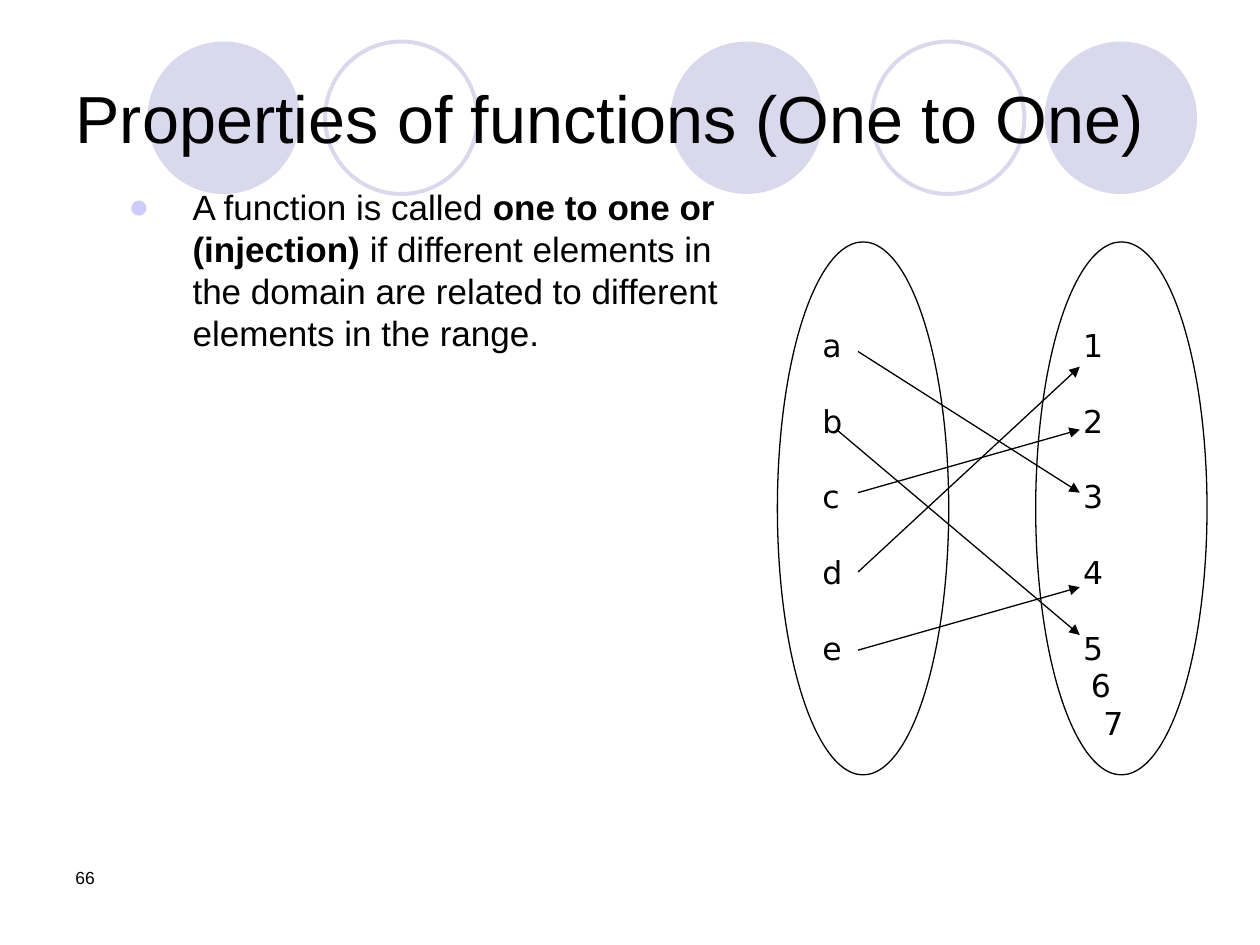
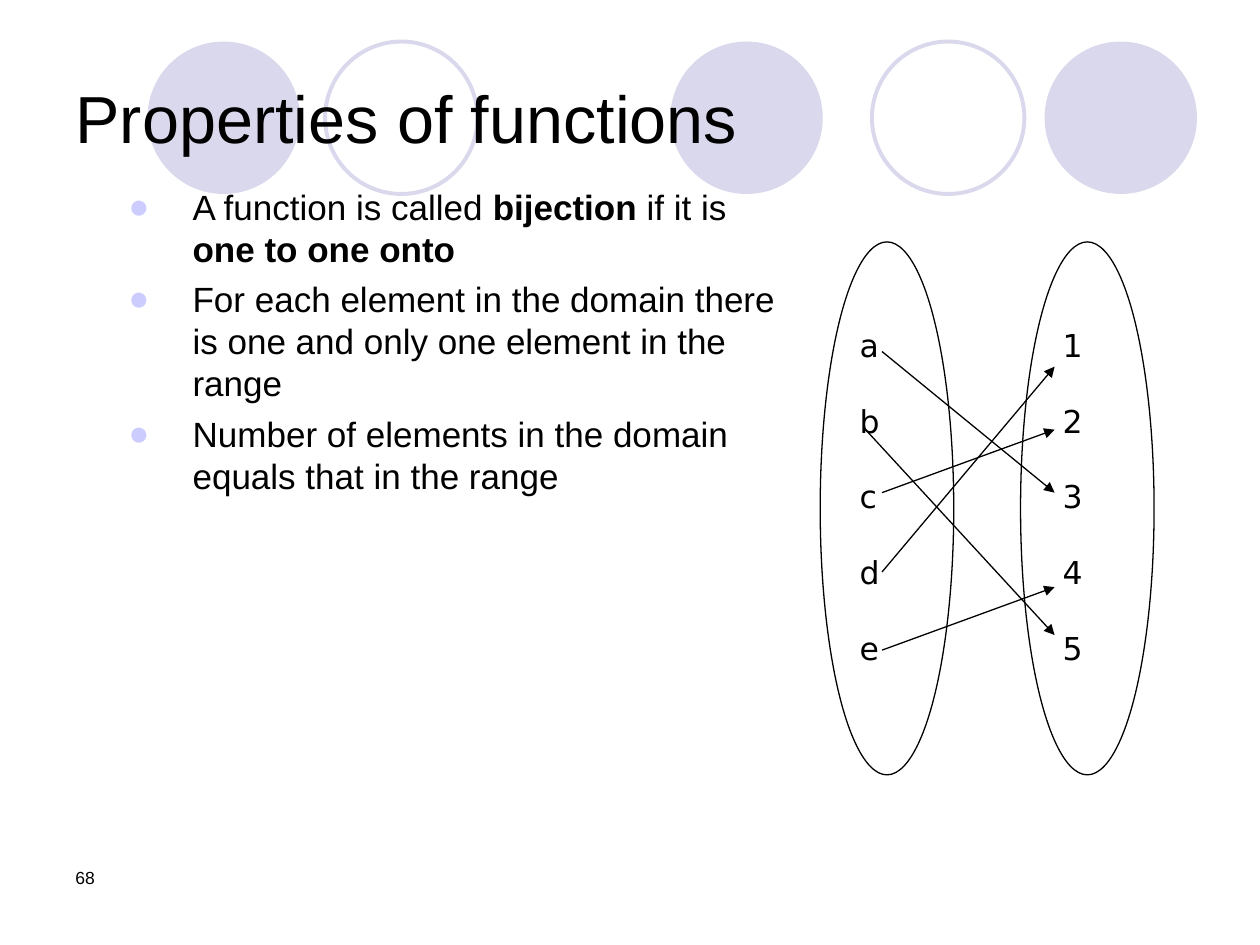
import pptx
import pptx.dml.color
import pptx.enum.shapes
import pptx.enum.text
import pptx.oxml.ns
import pptx.util
from lxml import etree

Inches = pptx.util.Inches
Pt = pptx.util.Pt
qn = pptx.oxml.ns.qn
OVAL = pptx.enum.shapes.MSO_SHAPE.OVAL
ANCHOR = pptx.enum.text.MSO_ANCHOR
LEFT = pptx.enum.text.PP_ALIGN.LEFT

COLORS = {"text": "000000", "paper": "FFFFFF", "circle": "D9D8EC", "bullet": "CCCCFF"}
TEXT_FONT, SET_FONT = "Arial", "DejaVu Sans"

# Header circles: left edge, filled or outlined
CIRCLES = [(5.32, True), (8.29, True), (1.17, True), (6.92, False), (2.58, False)]
CIRCLE_TOP, CIRCLE_SIZE = 0.33, 1.21

# Both diagrams: ellipse extent, line height, and arrow heights by domain element
SET_TOP, SET_HEIGHT = 1.92, 4.23
SET_LINE = 21.6
ARROW_HEIGHTS = {"a": (2.79, 3.91), "c": (3.91, 3.41), "d": (4.54, 2.91),
                 "b": (3.41, 5.04), "e": (5.16, 4.66)}

SLIDES = [
    {
        "title": "Properties of functions (One to One)",
        "number": "66",
        "body_width": 4.98,
        "body": [[("A function is called ", False),
                  ("one to one or (injection)", True),
                  (" if different elements in the domain are related to "
                   "different elements in the range.", False)]],
        "map": {"domain_x": 6.17, "range_x": 8.22, "width": 1.36,
                "start_x": 6.81, "b_start_x": 6.64, "end_x": 8.57,
                "extras": [("6", 0.14), ("7", 0.24)]},
    },
    {
        "title": "Properties of functions",
        "number": "68",
        "body_width": 5.39,
        "body": [[("A function is called ", False), ("bijection ", True),
                  ("if it is ", False), ("one to one onto", True)],
                 [("For each element in the domain there is one and only one "
                   "element in the range", False)],
                 [("Number of elements in the domain equals that in the range", False)]],
        "map": {"domain_x": 6.51, "range_x": 8.1, "width": 1.06,
                "start_x": 7, "b_start_x": 6.87, "end_x": 8.37, "extras": []},
    },
]


def rgb(name):
    return pptx.dml.color.RGBColor.from_string(COLORS[name])


def add_run(p, text, size, font=TEXT_FONT, bold=False):
    r = p.add_run()
    r.text = text
    r.font.size, r.font.name, r.font.bold = Pt(size), font, bold
    r.font.color.rgb = rgb("text")


def next_paragraph(tf, index):
    p = tf.add_paragraph() if index else tf.paragraphs[0]
    p.alignment = LEFT
    return p


def set_indent(p, left, first=0):
    pPr = p._p.get_or_add_pPr()
    pPr.set("marL", str(Inches(left)))
    pPr.set("indent", str(Inches(first)))
    return pPr


def add_oval(shapes, x, y, w, h, fill=None, line=None, weight=0.75):
    sp = shapes.add_shape(OVAL, Inches(x), Inches(y), Inches(w), Inches(h))
    sp.shadow.inherit = False
    if fill:
        sp.fill.solid()
        sp.fill.fore_color.rgb = rgb(fill)
    else:
        sp.fill.background()
    if line:
        sp.line.color.rgb = rgb(line)
        sp.line.width = Pt(weight)
    else:
        sp.line.fill.background()
    return sp


def add_header_circles(s, layout):
    """Draw the circles as one group and move it behind the layout's placeholders."""
    group = s.shapes.add_group_shape()
    for x, filled in CIRCLES:
        kind = {"fill": "circle"} if filled else {"line": "circle", "weight": 2.25}
        add_oval(group.shapes, x, CIRCLE_TOP, CIRCLE_SIZE, CIRCLE_SIZE, **kind)
    layout.shapes._spTree.insert(2, group._element)


def set_title(s, text):
    sp = s.shapes.title
    sp.left, sp.top, sp.width, sp.height = Inches(0.5), Inches(0.3), Inches(9), Inches(1.25)
    tf = sp.text_frame
    tf.auto_size = pptx.enum.text.MSO_AUTO_SIZE.NONE
    tf.vertical_anchor = ANCHOR.MIDDLE
    add_run(next_paragraph(tf, 0), text, 38)


def add_text_frame(s, x, y, w, h):
    tf = s.shapes.add_textbox(Inches(x), Inches(y), Inches(w), Inches(h)).text_frame
    tf.word_wrap = True
    return tf


def add_bullets(s, paragraphs, width):
    tf = add_text_frame(s, 0.92, 1.42, width, 5.42)
    for i, runs in enumerate(paragraphs):
        p = next_paragraph(tf, i)
        p.line_spacing, p.space_before = Pt(24), Pt(5)
        pPr = set_indent(p, 0.51, -0.51)
        color = etree.SubElement(pPr, qn("a:buClr"))
        etree.SubElement(color, qn("a:srgbClr"), val=COLORS["bullet"])
        etree.SubElement(pPr, qn("a:buFont"), typeface=TEXT_FONT)
        etree.SubElement(pPr, qn("a:buChar"), char="●")
        for text, bold in runs:
            add_run(p, text, 20, bold=bold)


def add_set(shapes, x, width, members, indent, extras=()):
    """Ellipse listing its members; extras follow closely, each with its own indent."""
    sp = add_oval(shapes, x, SET_TOP, width, SET_HEIGHT, "paper", "text")
    tf = sp.text_frame
    tf.word_wrap = True
    tf.vertical_anchor = ANCHOR.TOP
    rows = [(member, indent) for member in members] + list(extras)
    for i, (member, left) in enumerate(rows):
        p = next_paragraph(tf, i)
        set_indent(p, left)
        p.line_spacing = Pt(SET_LINE)
        p.space_before = Pt(SET_LINE if 0 < i < len(members) else 0)
        add_run(p, member, 18, SET_FONT)


def add_arrow(shapes, x1, y1, x2, y2):
    line = shapes.add_connector(pptx.enum.shapes.MSO_CONNECTOR.STRAIGHT,
                                Inches(x1), Inches(y1), Inches(x2), Inches(y2))
    line.line.color.rgb = rgb("text")
    line.line.width = Pt(0.75)
    etree.SubElement(line.line._get_or_add_ln(), qn("a:tailEnd"), type="triangle")
    etree.SubElement(line._element.spPr, qn("a:effectLst"))


def add_mapping(s, domain_x, range_x, width, start_x, b_start_x, end_x, extras):
    shapes = s.shapes.add_group_shape().shapes
    add_set(shapes, domain_x, width, "abcde", 0.06)
    add_set(shapes, range_x, width, "12345", 0.08, extras)
    for member, (y1, y2) in ARROW_HEIGHTS.items():
        add_arrow(shapes, b_start_x if member == "b" else start_x, y1, end_x, y2)


def main():
    prs = pptx.Presentation()
    prs.slide_width, prs.slide_height = Inches(10), Inches(7.5)
    layout = prs.slide_layouts[5]  # title only
    for i, content in enumerate(SLIDES):
        s = prs.slides.add_slide(layout)
        if i == 0:
            add_header_circles(s, layout)
        set_title(s, content["title"])
        number = add_text_frame(s, 0.5, 6.83, 2.33, 0.5)
        add_run(next_paragraph(number, 0), content["number"], 10)
        add_bullets(s, content["body"], content["body_width"])
        add_mapping(s, **content["map"])
    prs.save("out.pptx")


if __name__ == "__main__":
    main()
